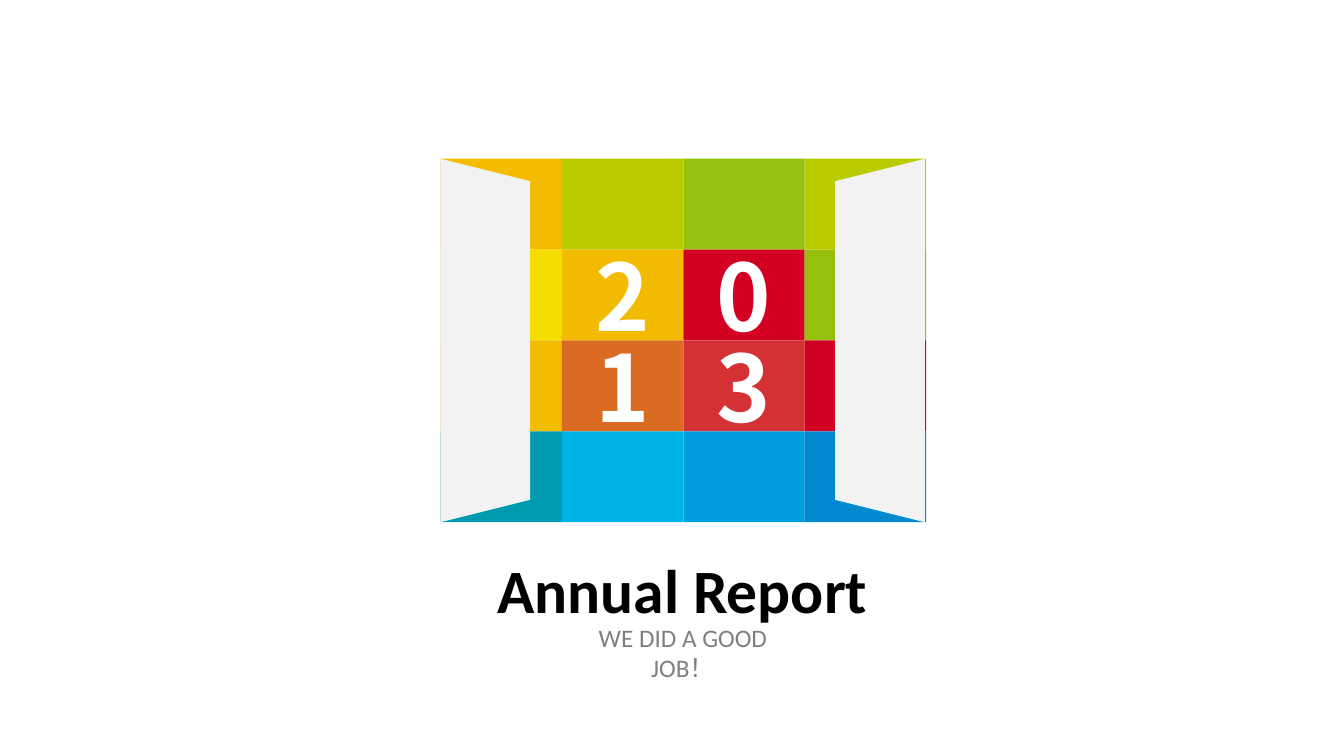
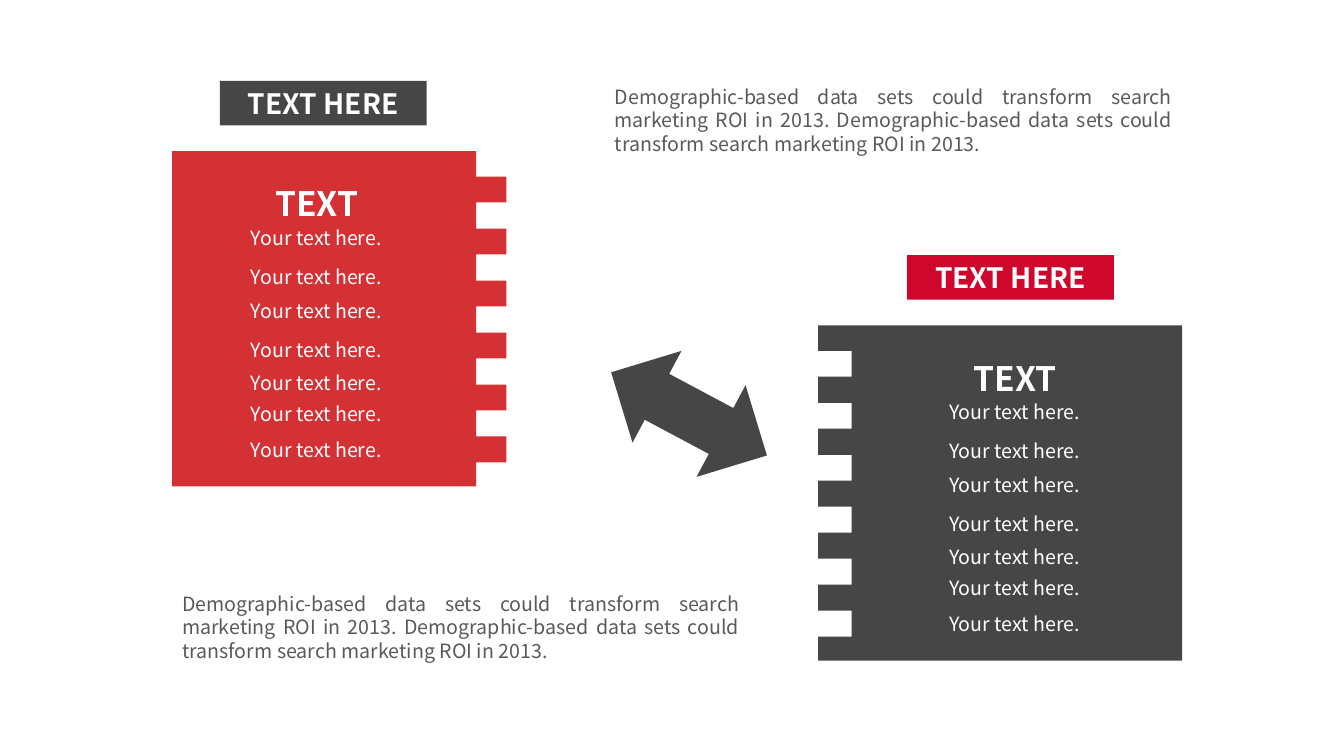
"""Build a two-slide annual report: a cover and a comparison page."""
from lxml import etree
from pptx import Presentation
from pptx.dml.color import RGBColor
from pptx.enum import shapes, text
from pptx.oxml import ns
from pptx.util import Cm, Pt

SANS = "Noto Sans CJK SC"
WHITE, CHARCOAL, RED = "FFFFFF", "464646", "D43135"
DIGIT = {"size": Pt(66), "name": SANS, "bold": True}
TAG = {"size": Pt(20), "name": SANS, "bold": True}
HEADING = {"size": Pt(24), "name": SANS, "bold": True}
BODY = {"size": Pt(14), "name": SANS, "bold": False}
CENTER, LEFT, JUSTIFY = (text.PP_ALIGN.CENTER, text.PP_ALIGN.LEFT,
                         text.PP_ALIGN.JUSTIFY)
TOP, MIDDLE = text.MSO_ANCHOR.TOP, text.MSO_ANCHOR.MIDDLE


def paint(item, color):
    item.fill.solid()
    item.fill.fore_color.rgb = RGBColor.from_string(color)


def write(box, place, lines, style, color, align, anchor=TOP, gaps=(0,)):
    for name, value in zip(("left", "top", "width", "height"), place):
        setattr(box, name, Cm(value))
    frame = box.text_frame
    frame.word_wrap = True
    frame.auto_size = text.MSO_AUTO_SIZE.NONE
    frame.vertical_anchor = anchor
    for index, (line, gap) in enumerate(zip(lines, gaps)):
        para = frame.paragraphs[0] if index == 0 else frame.add_paragraph()
        para.alignment = align
        para.space_before = Pt(gap)
        properties = para._p.get_or_add_pPr()
        properties.set("marL", "0")
        properties.set("indent", "0")
        etree.SubElement(properties, ns.qn("a:buNone"))
        span = para.add_run()
        span.text = line
        for name, value in style.items():
            setattr(span.font, name, value)
        paint(span.font, color)


deck = Presentation()
deck.slide_width, deck.slide_height = Cm(33.87), Cm(19.05)

page = deck.slides.add_slide(deck.slide_layouts[0])
write(page.shapes.title, (11.2, 13.77, 12.01, 2.13), ["Annual Report"],
      {"size": Pt(44), "name": "Calibri", "bold": True}, "000000", CENTER)
write(page.placeholders[1], (14.16, 15.55, 6.1, 1.9), ["WE DID A GOOD JOB！"],
      {"size": Pt(18), "name": "Calibri"}, "808080", CENTER)

grid_left, grid_top, tile_width, tile_height = 11.1, 4, 3.06, 2.29
tile_rows = [
    [("F3BC00", ""), ("BACB00", ""), ("96C110", ""), ("BACB00", "")],
    [("F5DD00", ""), ("F3BB00", "2"), ("D40023", "0"), ("97BF0E", "")],
    [("F2BC00", ""), ("DB6B23", "1"), (RED, "3"), ("D20025", "")],
    [("009AAE", ""), ("00B3E6", ""), ("009DDF", ""), ("0089CF", "")],
]
for row, tiles in enumerate(tile_rows):
    for column, (color, digit) in enumerate(tiles):
        place = (grid_left + column * tile_width, grid_top + row * tile_height,
                 tile_width, tile_height)
        tile = page.shapes.add_shape(shapes.MSO_SHAPE.RECTANGLE, *map(Cm, place))
        paint(tile, color)
        if digit:
            write(tile, place, [digit], DIGIT, WHITE, CENTER, MIDDLE)

for door_left, rotation in ((7.65, 90), (17.6, 270)):
    door = page.shapes.add_shape(shapes.MSO_SHAPE.TRAPEZOID, Cm(door_left),
                                 Cm(7.45), Cm(4 * tile_height), Cm(2.26))
    door.rotation = rotation
    paint(door, "F2F2F2")

page = deck.slides.add_slide(deck.slide_layouts[4])
second_tag = page.shapes.add_shape(shapes.MSO_SHAPE.RECTANGLE, 0, 0, 0, 0)
panels = [
    (page.shapes.title, 5.54, CHARCOAL, 1, 6.07, 3.81, RED, (4.34, 12, 12.76)),
    (second_tag, 22.86, "CF072C", 3, 23.67, 8.2, CHARCOAL, (29.79, 20.62, 21.46)),
]
for tag, tag_left, tag_color, slot, list_left, top, color, sides in panels:
    far, edge, tooth = sides
    points = [(edge, top)]
    for index in range(6):
        start = top + 0.64 + index * 1.31
        end = start + 0.65
        points += [(edge, start), (tooth, start), (tooth, end), (edge, end)]
    points += [(edge, top + 8.45), (far, top + 8.45)]
    outline = page.shapes.build_freeform(Cm(far), Cm(top))
    outline.add_line_segments([(Cm(x), Cm(y)) for x, y in points])
    comb = outline.convert_to_shape()
    paint(comb, color)
    comb.element.getparent().insert(2, comb.element)

    paint(tag, tag_color)
    write(tag, (tag_left, top - 1.77, 5.21, 1.12), ["TEXT HERE"], TAG, WHITE,
          CENTER, MIDDLE)
    write(page.placeholders[slot], (list_left + 0.61, top + 0.68, 3.43, 1.27),
          ["TEXT"], HEADING, WHITE, LEFT)
    write(page.placeholders[slot + 1], (list_left, top + 1.76, 4.17, 6.2),
          ["Your text here."] * 7, BODY, WHITE, LEFT,
          gaps=(0, 11, 7.5, 11, 6.8, 5.3, 8.9))

arrow = page.shapes.add_shape(shapes.MSO_SHAPE.LEFT_RIGHT_ARROW, Cm(15.14),
                              Cm(9.12), Cm(4.45), Cm(2.62))
arrow.rotation = 28.1
paint(arrow, CHARCOAL)

sentence = ("Demographic-based data sets could transform search marketing ROI "
            "in 2013.")
for left, top in ((4.34, 14.78), (15.24, 2.01)):
    note = page.shapes.add_textbox(0, 0, 0, 0)
    write(note, (left, top, 14.55, 2.06), [f"{sentence} {sentence}"], BODY,
          "595959", JUSTIFY)

for page in deck.slides:
    for shape in page.shapes:
        if not shape.is_placeholder:
            shape.shadow.inherit = False
            shape.line.fill.background()

deck.save("out.pptx")
